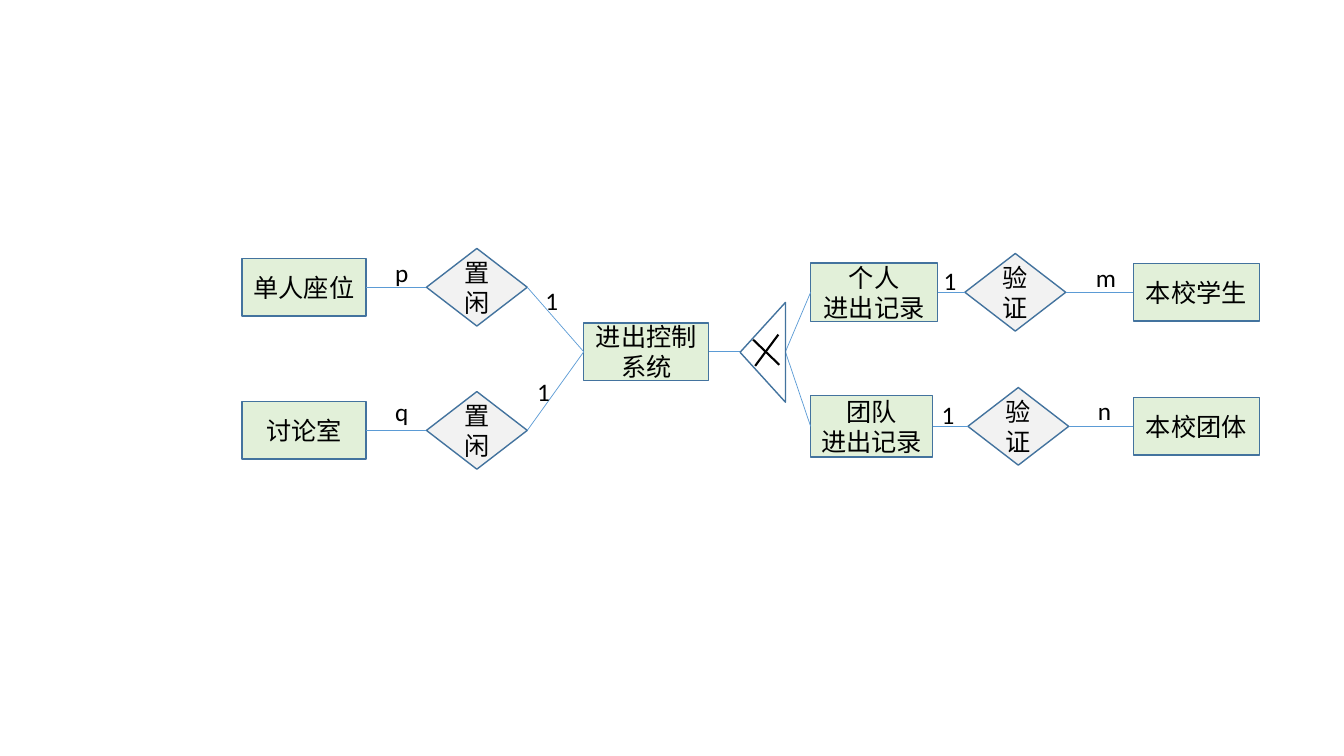
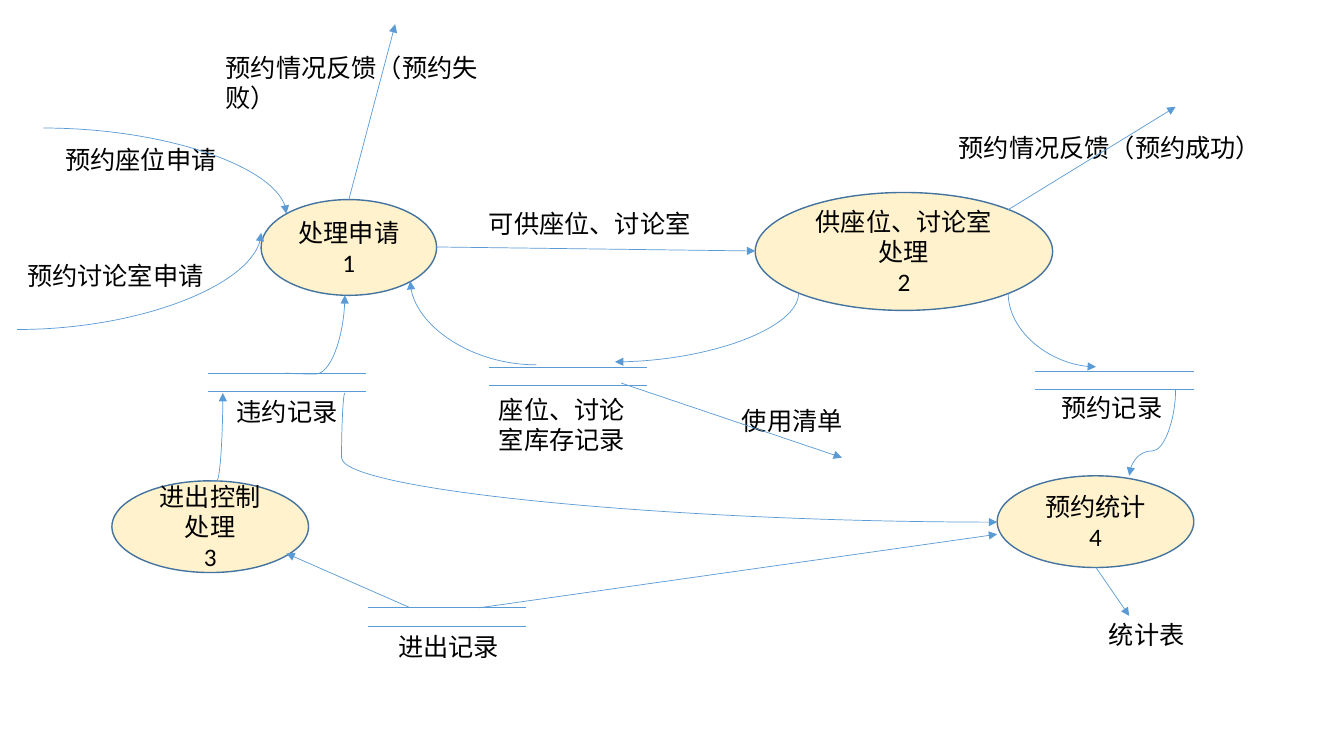
"""Build a two-slide deck: a library access entity diagram and a booking data-flow diagram."""
from dataclasses import dataclass
from lxml.etree import SubElement
from pptx import Presentation
from pptx.dml.color import RGBColor as RGB
from pptx.enum.shapes import MSO_CONNECTOR as Link, MSO_SHAPE as Shape
from pptx.enum.text import MSO_ANCHOR as Anchor, MSO_AUTO_SIZE as Auto, PP_ALIGN as Align
from pptx.oxml.ns import qn
from pptx.util import Inches, Pt


@dataclass(frozen=True)
class Theme:
    font: str = "Calibri"
    size: int = 18
    ink: str = "000000"
    edge: str = "43739E"
    wire: str = "5B9BD5"
    green: str = "E2F0D9"
    grey: str = "F2F2F2"
    cream: str = "FFF2CC"
    thin: float = 0.5
    rim: float = 1
    bold: float = 1.5


T = Theme()
SIZE = (13.33, 7.5)

BOX = (Shape.RECTANGLE, T.green)
GEM = (Shape.DIAMOND, T.grey)
OVAL = (Shape.OVAL, T.cream)
GEM_W, GEM_H = 1, 0.77

# name: (kind, text, left, middle, width, height)
ENTITIES = {
    "seat": (BOX, "单人座位", 2.4, 2.85, 1.23, 0.57),
    "room": (BOX, "讨论室", 2.4, 4.27, 1.23, 0.57),
    "idle seat": (GEM, "置闲", 4.23, 2.85, GEM_W, GEM_H),
    "idle room": (GEM, "置闲", 4.23, 4.27, GEM_W, GEM_H),
    "control": (BOX, "进出控制系统", 5.79, 3.49, 1.24, 0.57),
    "solo log": (BOX, "个人\n进出记录", 8.04, 2.9, 1.26, 0.58),
    "team log": (BOX, "团队\n进出记录", 8.04, 4.23, 1.21, 0.61),
    "check solo": (GEM, "验证", 9.57, 2.9, GEM_W, GEM_H),
    "check team": (GEM, "验证", 9.6, 4.23, GEM_W, GEM_H),
    "student": (BOX, "本校学生", 11.24, 2.9, 1.25, 0.57),
    "group": (BOX, "本校团体", 11.24, 4.23, 1.25, 0.57),
}
PAIRS = [
    ("seat", "idle seat"), ("room", "idle room"),
    ("idle seat", "control"), ("idle room", "control"),
    ("solo log", "check solo"), ("team log", "check team"),
    ("check solo", "student"), ("check team", "group"),
]
COUNTS = [
    ("p", 3.82, 2.5), ("q", 3.82, 3.88), ("1", 5.31, 2.78), ("1", 5.23, 3.68),
    ("1", 9.26, 2.58), ("1", 9.24, 3.91), ("m", 10.77, 2.55), ("n", 10.79, 3.87),
]
COUNT_W = 0.4
MERGE = (7.07, 3.27, 0.99, 0.45)
MERGE_L, MERGE_R = 7.34, 7.79
CROSS = [(7.72, 3.32, 7.49, 3.63), (7.47, 3.37, 7.73, 3.62)]

STEPS = [
    ("处理申请\n1", 2.59, 1.98, 1.74, 0.95),
    ("供座位、讨论室处理\n2", 7.49, 1.91, 2.95, 1.17),
    ("进出控制处理\n3", 1.11, 4.77, 1.95, 0.91),
    ("预约统计\n4", 9.89, 4.72, 1.95, 0.91),
]
STORES = [(4.85, 3.64), (2.06, 3.7), (10.27, 3.68), (3.65, 6.03)]
STORE_W, STORE_H = 1.57, 0.18
NOTES = [
    ("预约座位申请", 0.55, 1.38, 1.72),
    ("预约讨论室申请", 0.17, 2.53, 1.99),
    ("可供座位、讨论室", 4.75, 2.02, 2.42),
    ("座位、讨论室库存记录", 4.85, 3.86, 1.67),
    ("违约记录", 2.25, 3.88, 1.67),
    ("预约记录", 10.43, 3.84, 1.87),
    ("使用清单", 7.26, 3.97, 1.32),
    ("预约情况反馈（预约成功）", 9.41, 1.26, 3.63),
    ("统计表", 10.9, 6.09, 1.32),
    ("预约情况反馈（预约失败）", 2.14, 0.47, 3.16),
    ("进出记录", 3.85, 6.21, 1.67),
]
ARROWS = [
    (4.33, 2.45, 7.49, 2.49), (10, 2.08, 11.66, 1.06), (6.16, 3.8, 8.35, 4.54),
    (10.87, 5.63, 11.2, 6.11), (3.46, 1.98, 3.92, 0.24),
    (4.07, 6.03, 2.84, 5.49), (4.75, 6.03, 9.89, 5.3),
]
# ends, leaves upright, bend (None for a single arc)
CURVES = [
    ((0.43, 1.27, 2.84, 2.12), False, None),
    ((0.17, 3.27, 2.59, 2.31), False, None),
    ((7.92, 2.91, 6.1, 3.59), True, None),
    ((5.32, 3.62, 4.07, 2.79), False, None),
    ((10, 2.91, 10.87, 3.64), True, None),
    ((2.84, 3.7, 3.42, 2.93), True, -1500),
    ((2.09, 4.77, 2.21, 3.9), True, 100),
    ((11.66, 3.86, 11.2, 4.72), True, 71400),
    ((3.42, 3.9, 9.89, 5.18), False, -500),
]


def write(frame, text, align):
    frame.word_wrap = True
    frame.text = text
    for para in frame.paragraphs:
        para.alignment = align
        font = para.font
        font.name, font.size = T.font, Pt(T.size)
        font.color.rgb = RGB.from_string(T.ink)


def node(slide, kind, text, *area):
    form, fill = kind
    shape = slide.shapes.add_shape(form, *map(Inches, area))
    shape.shadow.inherit = False
    if fill:
        shape.fill.solid()
        shape.fill.fore_color.rgb = RGB.from_string(fill)
    else:
        shape.fill.background()
    shape.line.color.rgb = RGB.from_string(T.edge)
    shape.line.width = Pt(T.rim)
    if text:
        shape.text_frame.vertical_anchor = Anchor.MIDDLE
        write(shape.text_frame, text, Align.CENTER)
    return shape


def label(slide, text, x, y, w):
    frame = slide.shapes.add_textbox(*map(Inches, (x, y, w, 0.4))).text_frame
    write(frame, text, Align.LEFT)
    frame.auto_size = Auto.SHAPE_TO_FIT_TEXT


def line(slide, ends, color=T.wire, width=T.thin, arrow=False, form=Link.STRAIGHT):
    wire = slide.shapes.add_connector(form, *map(Inches, ends))
    wire.line.color.rgb = RGB.from_string(color)
    wire.line.width = Pt(width)
    props = wire._element.spPr
    if arrow:
        SubElement(props.find(qn("a:ln")), qn("a:tailEnd"), type="triangle")
    SubElement(props, qn("a:effectLst"))
    return wire


def curve(slide, ends, upright, bend):
    wire = line(slide, ends, arrow=True, form=Link.CURVE)
    props = wire._element.spPr
    geom = props.find(qn("a:prstGeom"))
    if bend is None:
        geom.set("prst", "curvedConnector2")
    else:
        SubElement(geom.find(qn("a:avLst")), qn("a:gd"), name="adj1", fmla=f"val {bend}")
    if upright:
        x1, y1, x2, y2 = ends
        dx, dy = x2 - x1, y2 - y1
        w, h = abs(dy), abs(dx)
        wire.left, wire.top = Inches((x1 + x2 - w) / 2), Inches((y1 + y2 - h) / 2)
        wire.width, wire.height = Inches(w), Inches(h)
        back = dx > 0 and dy > 0
        frame = props.find(qn("a:xfrm"))
        frame.set("rot", str((270 if back else 90) * 60000))
        frame.set("flipH", str(int(back or dy < 0)))
        frame.set("flipV", str(int(dx > 0 and not back)))


def draw_access(slide):
    for kind, text, x, mid, w, h in ENTITIES.values():
        node(slide, kind, text, x, mid - h / 2, w, h)

    def left(name):
        return ENTITIES[name][2:4]

    def right(name):
        x, mid, w = ENTITIES[name][2:5]
        return x + w, mid

    for start, end in PAIRS:
        line(slide, (*right(start), *left(end)))
    mid = left("control")[1]
    line(slide, (*right("control"), MERGE_L, mid))
    for log in ("solo log", "team log"):
        line(slide, (*left(log), MERGE_R, mid))
    node(slide, (Shape.FLOWCHART_MERGE, None), "", *MERGE).rotation = 90
    for ends in CROSS:
        line(slide, ends, T.ink, T.bold)
    for text, x, y in COUNTS:
        label(slide, text, x, y, COUNT_W)


def draw_flow(slide):
    for text, *area in STEPS:
        node(slide, OVAL, text, *area)
    for note in NOTES:
        label(slide, *note)
    for x, top in STORES:
        for y in (top, top + STORE_H):
            line(slide, (x, y, x + STORE_W, y))
    for ends in ARROWS:
        line(slide, ends, arrow=True)
    for bow in CURVES:
        curve(slide, *bow)


def main():
    deck = Presentation()
    deck.slide_width, deck.slide_height = map(Inches, SIZE)
    for draw in (draw_access, draw_flow):
        draw(deck.slides.add_slide(deck.slide_layouts[6]))
    deck.save("out.pptx")


if __name__ == "__main__":
    main()
